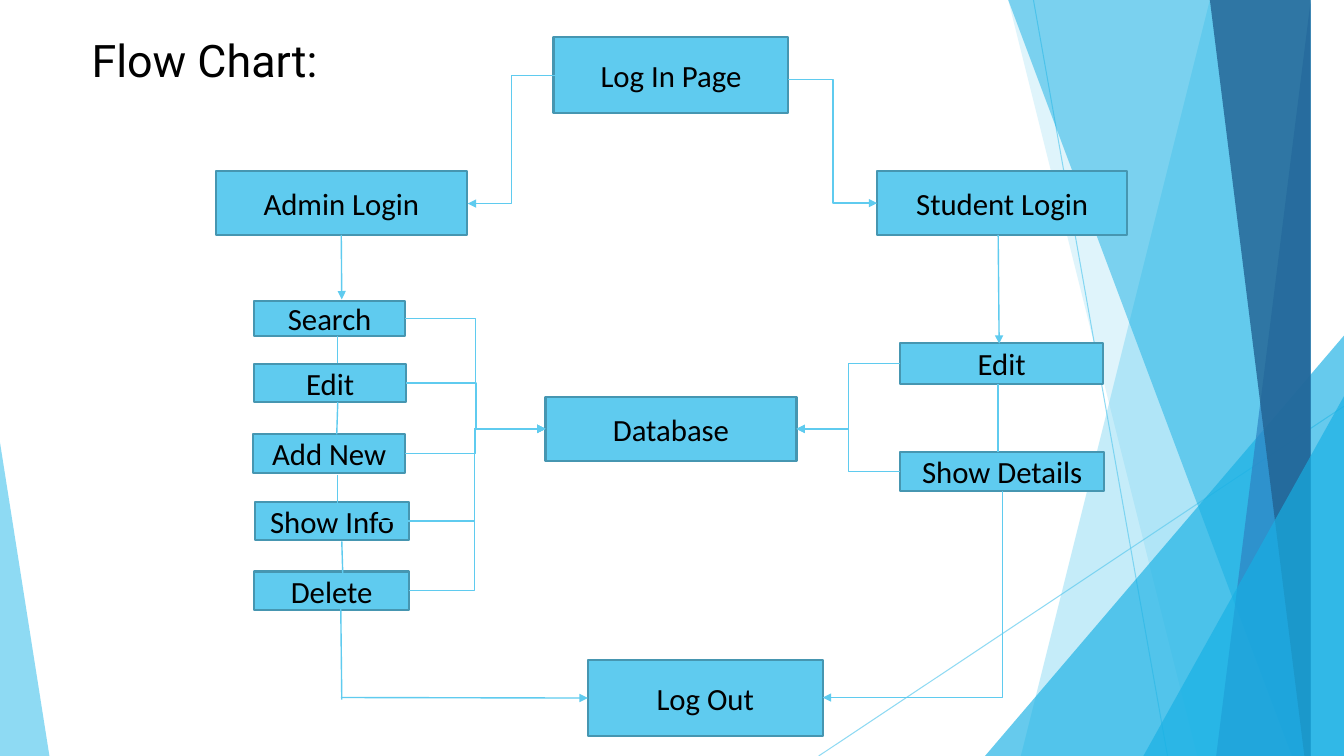
from lxml import etree
from pptx import Presentation
from pptx.dml.color import RGBColor
from pptx.enum.shapes import MSO_CONNECTOR, MSO_SHAPE
from pptx.enum.text import MSO_ANCHOR, MSO_AUTO_SIZE, PP_ALIGN
from pptx.oxml.ns import qn
from pptx.util import Inches, Pt

STRAIGHT, ELBOW = MSO_CONNECTOR.STRAIGHT, MSO_CONNECTOR.ELBOW
RECTANGLE, TRIANGLE = MSO_SHAPE.RECTANGLE, MSO_SHAPE.ISOSCELES_TRIANGLE
MIDDLE, CENTER = MSO_ANCHOR.MIDDLE, PP_ALIGN.CENTER
FIT_SHAPE = MSO_AUTO_SIZE.SHAPE_TO_FIT_TEXT
TOP, LEFT, BOTTOM, RIGHT = range(4)

SKY = RGBColor(0x5F, 0xCB, 0xEF)
CYAN = RGBColor(0x17, 0xB0, 0xE4)
BLUE = RGBColor(0x2E, 0x83, 0xC3)
NAVY = RGBColor(0x22, 0x62, 0x92)
OUTLINE = RGBColor(0x46, 0x96, 0xB1)
BLACK = RGBColor(0, 0, 0)

WIDTH, HEIGHT = 13.33, 7.5
BOX_FONT = {"name": "Calibri", "size": Pt(22)}
TITLE_FONT = {"name": "Roboto", "size": Pt(32)}

RAYS = [((10.25, 0), (11.58, HEIGHT)), ((WIDTH, 4.03), (8.12, HEIGHT))]
FACETS = [
    ("panel", (12.28, 10.04), SKY, 36),
    ("panel", (10.5, 11.83), SKY, 20),
    ("triangle", (9.77, 3.33, 3.56, 4.17, 1), CYAN, 66),
    ("panel", (10.21, 12.91), CYAN, 50),
    ("panel", (13.03, 11.92), BLUE, 70),
    ("panel", (11.96, 13.18), NAVY, 80),
    ("triangle", (11.34, 3.93, 1.99, 3.57, 1), CYAN, 66),
    ("triangle", (0, 4.39, 0.49, 3.11, 0), SKY, 70),
]
BOXES = {
    "admin": ("Admin Login", 2.14, 1.7, 2.49, 0.63),
    "login": ("Log In Page", 5.49, 0.37, 2.33, 0.75),
    "student": ("Student Login", 8.7, 1.7, 2.48, 0.63),
    "search": ("Search", 2.52, 2.99, 1.5, 0.34),
    "edit": ("Edit", 2.52, 3.61, 1.51, 0.38),
    "add": ("Add New", 2.51, 4.31, 1.51, 0.38),
    "info": ("Show Info", 2.53, 4.98, 1.53, 0.38),
    "delete": ("Delete", 2.52, 5.67, 1.54, 0.38),
    "student edit": ("Edit", 8.93, 3.4, 2.01, 0.41),
    "details": ("Show Details", 8.93, 4.48, 2.02, 0.39),
    "logout": ("Log Out", 5.83, 6.55, 2.33, 0.75),
    "database": ("Database", 5.41, 3.94, 2.49, 0.63),
}
PLAIN_LINES = [
    ((3.38, 6.04), (3.39, 6.94)),
    ((3.35, 3.33), (3.35, 3.6)),
    ((3.35, 3.99), (3.34, 4.31)),
    ((3.35, 4.71), (3.35, 5)),
    ((3.39, 5.37), (3.4, 5.71)),
    ((9.9, 3.81), (9.9, 4.48)),
]
ARROWS = [
    ((3.38, 6.92), ("logout", LEFT)),
    (("admin", BOTTOM), (3.39, 2.97)),
    ((9.9, 2.33), (9.91, 3.41)),
]
ELBOWS = [
    ((7.82, 0.79), ("student", LEFT), 0.5),
    ((5.51, 0.75), (4.64, 2.02), 0.5),
    (("search", RIGHT), ("database", LEFT), 0.5),
    (("edit", RIGHT), ("database", LEFT), 0.5),
    (("add", RIGHT), ("database", LEFT), 0.5),
    (("delete", RIGHT), ("database", LEFT), 0.48),
    ((3.76, 5.17), ("database", LEFT), 0.575),
    (("student edit", LEFT), ("database", RIGHT), 0.5),
    (("details", LEFT), ("database", RIGHT), 0.5),
]


def set_opacity(container, percent):
    """Make the solid colour inside an element partly transparent."""
    color = next(container.iter(qn("a:srgbClr")))
    etree.SubElement(color, qn("a:alpha"), val=str(percent * 1000))


def write_text(frame, text, font_format):
    """Fill a text frame with one formatted paragraph and return it."""
    paragraph = frame.paragraphs[0]
    run = paragraph.add_run()
    run.text = text
    for name, value in font_format.items():
        setattr(run.font, name, value)
    run.font.color.rgb = BLACK
    return paragraph


def add_facet(slide, kind, geometry, color, opacity):
    """Draw one translucent background panel or triangle."""
    if kind == "panel":
        top_x, bottom_x = geometry
        builder = slide.shapes.build_freeform(top_x, 0, scale=Inches(1))
        corners = [(WIDTH, 0), (WIDTH, HEIGHT), (bottom_x, HEIGHT)]
        builder.add_line_segments(corners, close=True)
        shape = builder.convert_to_shape()
    else:
        *bounds, apex = geometry
        shape = slide.shapes.add_shape(TRIANGLE, *map(Inches, bounds))
        shape.adjustments[0] = apex
    shape.shadow.inherit = False
    shape.fill.solid()
    shape.fill.fore_color.rgb = color
    set_opacity(shape.fill._xPr, opacity)
    shape.line.fill.background()


def add_box(slide, text, *bounds):
    """Draw one labelled step of the flow chart."""
    shape = slide.shapes.add_shape(RECTANGLE, *map(Inches, bounds))
    shape.shadow.inherit = False
    shape.fill.solid()
    shape.fill.fore_color.rgb = SKY
    shape.line.color.rgb = OUTLINE
    shape.line.width = Pt(1.5)
    shape.text_frame.vertical_anchor = MIDDLE
    write_text(shape.text_frame, text, BOX_FONT).alignment = CENTER
    return shape


def add_link(slide, boxes, start, end, kind=STRAIGHT, arrow=True, width=1):
    """Draw a connector between points or (box name, side) pairs."""
    joined = [isinstance(place[0], str) for place in (start, end)]
    points = [(0, 0) if join else place
              for join, place in zip(joined, (start, end))]
    lengths = [Inches(value) for point in points for value in point]
    connector = slide.shapes.add_connector(kind, *lengths)
    if joined[0]:
        connector.begin_connect(boxes[start[0]], start[1])
    if joined[1]:
        connector.end_connect(boxes[end[0]], end[1])
    connector.line.color.rgb = SKY
    connector.line.width = Pt(width)
    if arrow:
        line = connector.line._get_or_add_ln()
        etree.SubElement(line, qn("a:tailEnd"), type="triangle")
    etree.SubElement(connector._element.spPr, qn("a:effectLst"))
    return connector


def add_elbow(slide, boxes, start, end, bend):
    """Draw an elbow arrow that turns at a share of its width."""
    connector = add_link(slide, boxes, start, end, ELBOW)
    guides = connector._element.spPr.find(qn("a:prstGeom")).find(qn("a:avLst"))
    etree.SubElement(guides, qn("a:gd"), name="adj1",
                     fmla=f"val {round(bend * 100000)}")


def add_corner(slide, start, end):
    """Draw an arrow that runs down from its start and then left."""
    (start_x, start_y), (end_x, end_y) = start, end
    across, down = start_x - end_x, end_y - start_y
    center_x, center_y = (start_x + end_x) / 2, (start_y + end_y) / 2
    connector = add_link(slide, {}, (center_x - down / 2, center_y - across / 2),
                         (center_x + down / 2, center_y + across / 2), ELBOW)
    properties = connector._element.spPr
    properties.find(qn("a:xfrm")).set("rot", "5400000")
    properties.find(qn("a:prstGeom")).set("prst", "bentConnector2")


def add_title(slide, text, *bounds):
    """Add the slide heading."""
    frame = slide.shapes.add_textbox(*map(Inches, bounds)).text_frame
    frame.word_wrap = True
    frame.auto_size = FIT_SHAPE
    write_text(frame, text, TITLE_FONT)


def main():
    """Build the flow chart slide and save it."""
    presentation = Presentation()
    presentation.slide_width = Inches(WIDTH)
    presentation.slide_height = Inches(HEIGHT)
    slide = presentation.slides.add_slide(presentation.slide_layouts[6])
    for start, end in RAYS:
        ray = add_link(slide, {}, start, end, arrow=False, width=0.75)
        set_opacity(ray.line._get_or_add_ln(), 70)
    for facet in FACETS:
        add_facet(slide, *facet)
    boxes = {name: add_box(slide, *values) for name, values in BOXES.items()}
    for start, end in PLAIN_LINES:
        add_link(slide, boxes, start, end, arrow=False)
    for start, end in ARROWS:
        add_link(slide, boxes, start, end)
    for elbow in ELBOWS:
        add_elbow(slide, boxes, *elbow)
    add_corner(slide, (9.94, 4.87), (8.16, 6.92))
    add_title(slide, "Flow Chart:", 0.81, 0.28, 2.94, 0.64)
    presentation.save("out.pptx")


if __name__ == "__main__":
    main()
